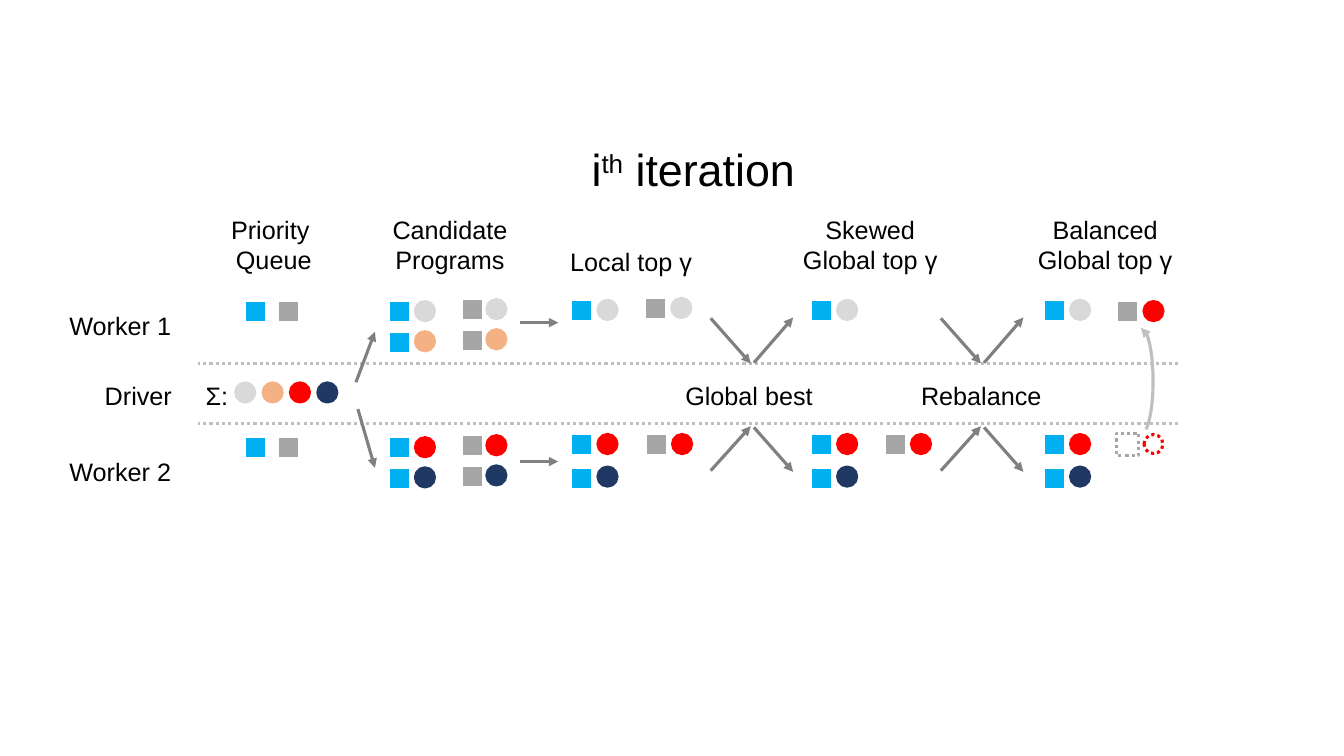
from dataclasses import dataclass

from lxml import etree
from pptx import Presentation
from pptx.dml.color import RGBColor
from pptx.enum.dml import MSO_LINE
from pptx.enum.shapes import MSO_CONNECTOR, MSO_SHAPE
from pptx.enum.text import MSO_AUTO_SIZE, PP_ALIGN
from pptx.oxml.ns import qn
from pptx.util import Cm, Pt

SQUARE, CIRCLE, ARC = MSO_SHAPE.RECTANGLE, MSO_SHAPE.OVAL, MSO_SHAPE.ARC
STRAIGHT = MSO_CONNECTOR.STRAIGHT
DOTTED = MSO_LINE.ROUND_DOT
LEFT, CENTER = PP_ALIGN.LEFT, PP_ALIGN.CENTER
FIT_SHAPE = MSO_AUTO_SIZE.SHAPE_TO_FIT_TEXT

BLACK, WHITE = "000000", "FFFFFF"
BLUE, GRAY = "00B0F0", "A6A6A6"
SILVER, PEACH, RED, NAVY = "D9D9D9", "F4B183", "FF0000", "203864"
ARROW_GRAY, LIGHT_GRAY = "808080", "BFBFBF"
SQUARE_SIZE, CIRCLE_SIZE = 0.56, 0.48
LINE_WIDTH = Pt(2.25)


@dataclass
class Label:
    text: str
    left: float
    top: float
    width: float
    height: float = 1.02
    align: PP_ALIGN = LEFT


@dataclass
class Program:
    left: float
    top: float
    square: str
    circle: str
    gap: float = 0.69
    drop: float = 0.03


@dataclass
class Arrow:
    x1: float
    y1: float
    x2: float
    y2: float


LABELS = [
    Label("Worker 1", 1.5, 7.7, 3.48),
    Label("Worker 2", 1.5, 11.38, 3.56),
    Label("Driver", 2.39, 9.45, 2.51),
    Label("Σ:", 4.93, 9.45, 1.24),
    Label("Priority \nQueue", 5.54, 5.28, 2.72, 1.8, CENTER),
    Label("Candidate\nPrograms", 9.55, 5.28, 3.58, 1.8, CENTER),
    Label("Local top γ", 14.05, 6.07, 3.71, 1.02, CENTER),
    Label("Skewed\nGlobal top γ", 19.86, 5.28, 4.14, 1.8, CENTER),
    Label("Balanced\nGlobal top γ", 25.78, 5.28, 4.14, 1.8, CENTER),
    Label("Global best", 17.02, 9.45, 3.91),
    Label("Rebalance", 22.94, 9.45, 3.58, 1.02, CENTER),
]

CANDIDATE_ROWS = [
    (7.57, SILVER, 0.03),
    (8.36, PEACH, 0),
    (11.0, RED, 0.03),
    (11.79, NAVY, 0),
]
CANDIDATES = [
    Program(left, top - lift, square, circle, gap, drop)
    for left, lift, square, gap in [(9.78, 0, BLUE, 0.69), (11.63, 0.05, GRAY, 0.64)]
    for top, circle, drop in CANDIDATE_ROWS
]
SELECTED = [
    Program(left, top, BLUE, circle, 0.69, drop)
    for left in (14.38, 20.42, 26.29)
    for top, circle, drop in [(7.54, SILVER, 0.03), (10.92, RED, 0.03), (11.77, NAVY, 0)]
]
SECOND_BEST = [
    Program(16.24, 7.49, GRAY, SILVER),
    Program(16.26, 10.92, GRAY, RED),
    Program(22.28, 10.92, GRAY, RED),
    Program(28.14, 7.57, GRAY, RED),
]

EXCHANGES = [
    Arrow(x1 + shift, y1, x2 + shift, y2)
    for shift in (0, 5.8)
    for x1, y1, x2, y2 in [
        (17.91, 8.02, 18.92, 9.16),
        (19.0, 9.14, 19.99, 8.0),
        (17.91, 11.86, 18.92, 10.74),
        (19.0, 10.77, 19.99, 11.89),
    ]
]
ARROWS = EXCHANGES + [
    Arrow(13.11, 8.13, 14.07, 8.13),
    Arrow(13.11, 11.63, 14.07, 11.63),
    Arrow(8.97, 9.63, 9.45, 8.36),
    Arrow(9.02, 10.31, 9.45, 11.79),
]


def color(value: str) -> RGBColor:
    return RGBColor.from_string(value)


def style_line(item, value: str) -> None:
    item.line.color.rgb = color(value)
    item.line.width = LINE_WIDTH


def add_arrowhead(item, end: str) -> None:
    outline = item._element.spPr.find(qn("a:ln"))
    etree.SubElement(outline, qn(end), type="triangle")


def add_text(page, label: Label, size: int = 18):
    box = page.shapes.add_textbox(Cm(label.left), Cm(label.top), Cm(label.width), Cm(label.height))
    frame = box.text_frame
    frame.text = label.text
    frame.word_wrap = False
    frame.auto_size = FIT_SHAPE
    for para in frame.paragraphs:
        para.alignment = label.align
        for span in para.runs:
            style_span(span, size)
    return box


def style_span(span, size: int) -> None:
    span.font.name = "Arial"
    span.font.size = Pt(size)
    span.font.color.rgb = color(BLACK)


def add_title(page) -> None:
    box = add_text(page, Label("i", 14.66, 3.45, 6.76, 1.63), 32)
    para = box.text_frame.paragraphs[0]
    for text, baseline in [("th", "30000"), (" iteration", "0")]:
        span = para.add_run()
        span.text = text
        style_span(span, 32)
        span._r.get_or_add_rPr().set("baseline", baseline)


def add_token(page, kind, left: float, top: float, fill: str, outline: str):
    size = Cm(SQUARE_SIZE if kind == SQUARE else CIRCLE_SIZE)
    token = page.shapes.add_shape(kind, Cm(left), Cm(top), size, size)
    token.shadow.inherit = False
    token.fill.solid()
    token.fill.fore_color.rgb = color(fill)
    style_line(token, outline)
    return token


def add_program(page, program: Program) -> None:
    add_token(page, SQUARE, program.left, program.top, program.square, WHITE)
    add_token(page, CIRCLE, program.left + program.gap, program.top + program.drop,
              program.circle, program.circle)


def add_moved_token(page, kind, left: float, top: float, outline: str) -> None:
    token = add_token(page, kind, left, top, WHITE, outline)
    token.line.dash_style = DOTTED
    fill = token._element.spPr.find(qn("a:solidFill"))
    etree.SubElement(fill[0], qn("a:alpha"), val="45000")


def add_line(page, course: Arrow, value: str):
    line = page.shapes.add_connector(STRAIGHT, Cm(course.x1), Cm(course.y1), Cm(course.x2), Cm(course.y2))
    style_line(line, value)
    etree.SubElement(line._element.spPr, qn("a:effectLst"))
    return line


def add_move_arc(page) -> None:
    arc = page.shapes.add_shape(ARC, Cm(28.45), Cm(8.26), Cm(0.61), Cm(2.69))
    arc.adjustments[0] = 162
    arc.adjustments[1] = 50.34
    arc.shadow.inherit = False
    arc.fill.background()
    style_line(arc, LIGHT_GRAY)
    add_arrowhead(arc, "a:headEnd")


def main() -> None:
    deck = Presentation()
    deck.slide_width, deck.slide_height = Cm(33.87), Cm(19.05)
    page = deck.slides.add_slide(deck.slide_layouts[6])
    add_title(page)
    for label in LABELS:
        add_text(page, label)
    for top in (9.17, 10.67):
        add_line(page, Arrow(29.69, top, 4.98, top), LIGHT_GRAY).line.dash_style = DOTTED
    for index, fill in enumerate((SILVER, PEACH, RED, NAVY)):
        add_token(page, CIRCLE, 5.94 + 0.69 * index, 9.65, fill, fill)
    for top in (7.57, 11.0):
        for left, fill in [(6.17, BLUE), (6.99, GRAY)]:
            add_token(page, SQUARE, left, top, fill, WHITE)
    for program in CANDIDATES + SELECTED + SECOND_BEST:
        add_program(page, program)
    for arrow in ARROWS:
        add_arrowhead(add_line(page, arrow, ARROW_GRAY), "a:tailEnd")
    add_moved_token(page, SQUARE, 28.14, 10.92, GRAY)
    add_moved_token(page, CIRCLE, 28.83, 10.95, RED)
    add_move_arc(page)
    deck.save("out.pptx")


if __name__ == "__main__":
    main()
